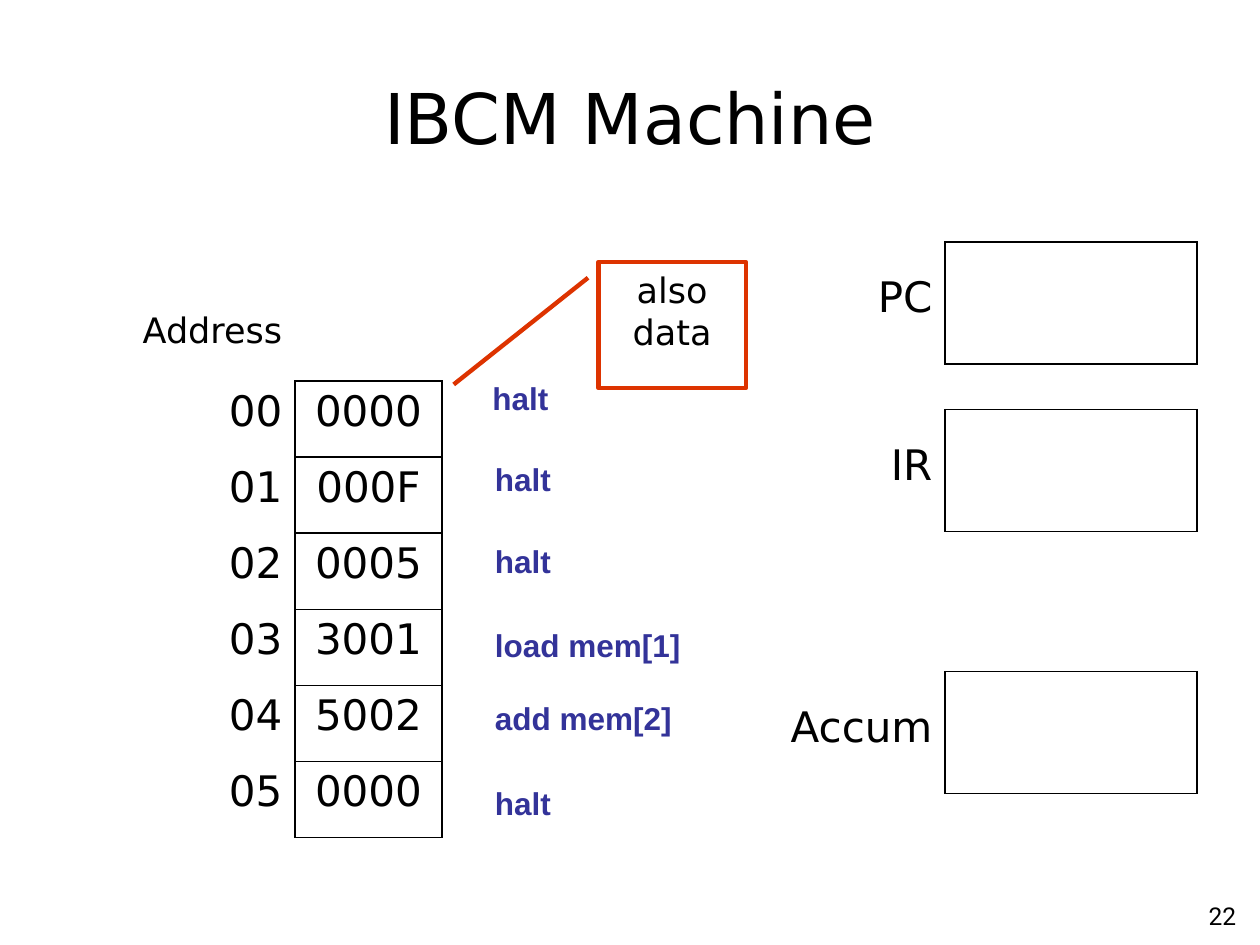
from lxml import etree
from pptx import Presentation
from pptx.dml.color import RGBColor
from pptx.enum.shapes import MSO_SHAPE
from pptx.enum.text import MSO_ANCHOR, PP_ALIGN
from pptx.oxml.ns import qn
from pptx.util import Inches, Pt

LEFT, CENTER, RIGHT = PP_ALIGN.LEFT, PP_ALIGN.CENTER, PP_ALIGN.RIGHT
TOP, MIDDLE = MSO_ANCHOR.TOP, MSO_ANCHOR.MIDDLE
CALLOUT = MSO_SHAPE.LINE_CALLOUT_1

COLORS = {"text": "000000", "code": "333399", "callout": "DD3300"}
BODY_FONT = "DejaVu Sans"
PLAIN_TABLE_STYLE = "{2D5ABB26-0587-4C30-8999-92F81FD0307C}"
ALL_SIDES = "LRTB"

MEMORY = ["0000", "000F", "0005", "3001", "5002", "0000"]
INSTRUCTIONS = [
    ("halt", 2.96),
    ("halt", 3.6),
    ("halt", 4.25),
    ("load mem[1]", 4.92),
    ("add mem[2]", 5.5),
    ("halt", 6.17),
]
REGISTERS = [("PC", 1.92, 0.83), ("IR", 3.25, 0.83), ("Accum", 5.33, 1.58)]
REGISTER_RIGHT, REGISTER_WIDTH, REGISTER_HEIGHT = 9.5, 2, 0.97


def write(frame, text, size, align=LEFT, font=BODY_FONT, color="text", bold=False):
    """Fill a text frame with one formatted paragraph."""
    frame.text = text
    para = frame.paragraphs[0]
    para.alignment = align
    for span in para.runs:
        span.font.size = Pt(size)
        span.font.name = font
        span.font.bold = bold
        span.font.color.rgb = RGBColor.from_string(COLORS[color])


def add_text(page, place, text, size, anchor=TOP, **style):
    """Add a wrapping text box at left, top, width, height."""
    box = page.shapes.add_textbox(*map(Inches, place))
    box.text_frame.word_wrap = True
    box.text_frame.vertical_anchor = anchor
    write(box.text_frame, text, size, **style)


def add_callout(page, place, text):
    """Add the outlined callout with its pointer line."""
    box = page.shapes.add_shape(CALLOUT, *map(Inches, place))
    for index, value in enumerate((0.125, -0.071, 0.972, -0.982)):
        box.adjustments[index] = value
    box.shadow.inherit = False
    box.fill.background()
    box.line.color.rgb = RGBColor.from_string(COLORS["callout"])
    box.line.width = Pt(2.5)
    box.text_frame.word_wrap = True
    box.text_frame.vertical_anchor = TOP
    write(box.text_frame, text, 20, align=CENTER)


def add_grid(page, left, top, widths, heights):
    """Add an unstyled table with the given column widths and row heights."""
    frame = page.shapes.add_table(
        len(heights), len(widths), Inches(left), Inches(top),
        Inches(sum(widths)), Inches(sum(heights)))
    table = frame.table
    table.first_row = table.horz_banding = False
    table._tbl.tblPr.find(qn("a:tableStyleId")).text = PLAIN_TABLE_STYLE
    for column, width in zip(table.columns, widths):
        column.width = Inches(width)
    for row, height in zip(table.rows, heights):
        row.height = Inches(height)
    for cell in table.iter_cells():
        cell.fill.background()
    return table


def set_borders(cell, sides):
    """Draw one-point borders on the named sides of a cell."""
    properties = cell._tc.get_or_add_tcPr()
    for index, side in enumerate(sides):
        line = etree.Element(qn(f"a:ln{side}"), w=str(Pt(1)))
        fill = etree.SubElement(line, qn("a:solidFill"))
        etree.SubElement(fill, qn("a:srgbClr"), val=COLORS["text"])
        properties.insert(index, line)


def add_register(page, name, top, label_width):
    """Add a register: a label beside an empty bordered cell."""
    left = REGISTER_RIGHT - REGISTER_WIDTH - label_width
    table = add_grid(page, left, top, [label_width, REGISTER_WIDTH], [REGISTER_HEIGHT])
    label, value = table.cell(0, 0), table.cell(0, 1)
    label.margin_top = Inches(0.25)
    write(label.text_frame, name, 24, align=RIGHT)
    set_borders(label, "R")
    set_borders(value, ALL_SIDES)


def add_memory(page):
    """Add the memory table with addresses and contents."""
    count = len(MEMORY) + 1
    table = add_grid(page, 0.67, 2.42, [1.67, 1.17], [4.23 / count] * count)
    write(table.cell(0, 0).text_frame, "Address", 20, align=RIGHT)
    set_borders(table.cell(0, 1), "B")
    for address, content in enumerate(MEMORY):
        label, value = table.cell(address + 1, 0), table.cell(address + 1, 1)
        write(label.text_frame, f"{address:02}", 24, align=RIGHT)
        write(value.text_frame, content, 24, align=CENTER)
        set_borders(label, "R")
        set_borders(value, ALL_SIDES)


def main():
    """Build the slide and save the deck."""
    deck = Presentation()
    deck.slide_width, deck.slide_height = Inches(10), Inches(7.5)
    page = deck.slides.add_slide(deck.slide_layouts[6])
    add_text(page, (7.83, 7.08, 2.08, 0.37), "22", 14, MIDDLE, align=RIGHT, font="Roboto")
    add_text(page, (0.5, 0.3, 9, 1.25), "IBCM Machine", 40, MIDDLE, align=CENTER)
    for index, (text, top) in enumerate(INSTRUCTIONS):
        left = 3.83 if index else 3.81
        width = 0.75 if text == "halt" else 2.17
        add_text(page, (left, top, width, 0.4), text, 18,
                 font="Arial", color="code", bold=True)
    add_callout(page, (4.75, 2.08, 1.17, 1), "also data")
    for name, top, label_width in REGISTERS:
        add_register(page, name, top, label_width)
    add_memory(page)
    deck.save("out.pptx")


if __name__ == "__main__":
    main()
